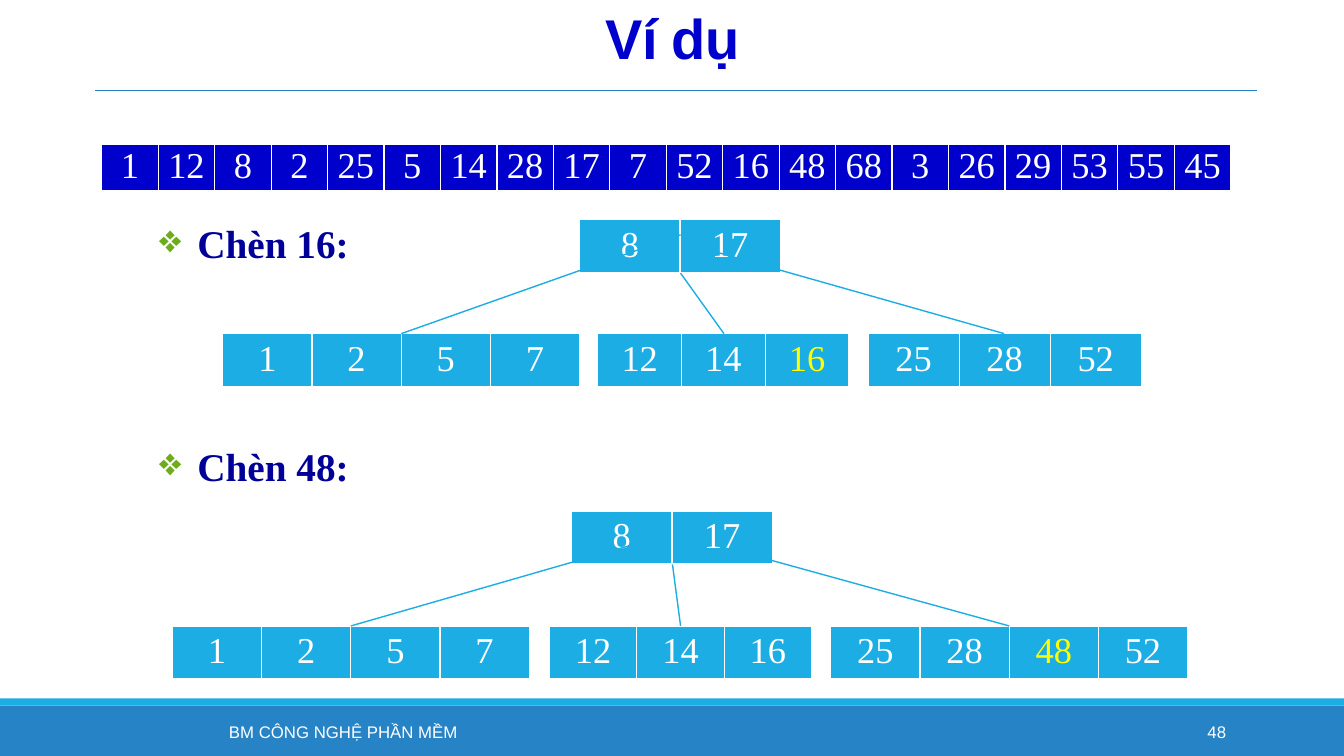
from lxml.etree import SubElement
from pptx import Presentation
from pptx.dml.color import RGBColor
from pptx.enum.shapes import MSO_CONNECTOR, MSO_SHAPE
from pptx.enum.text import MSO_ANCHOR, PP_ALIGN
from pptx.oxml.ns import qn
from pptx.util import Inches, Pt

COLORS = {
    "white": "FFFFFF",
    "sky": "1CADE4",
    "blue": "2683C6",
    "title": "0000CC",
    "heading": "000099",
    "bullet": "6EAC1C",
    "inserted": "FFFF00",
}
SERIF, SANS = "Times New Roman", "Arial"

SEQUENCE = [1, 12, 8, 2, 25, 5, 14, 28, 17, 7, 52, 16, 48, 68, 3, 26, 29, 53, 55, 45]

TREES = [
    {
        "inserted": 16,
        "nodes": [
            ((5.75, 2.18, 1.99), [8, 17]),
            ((2.21, 3.31, 3.54), [1, 2, 5, 7]),
            ((5.93, 3.31, 2.49), [12, 14, 16]),
            ((8.61, 3.31, 2.71), [25, 28, 52]),
        ],
        "edges": [(6.75, 2.33, 3.98, 3.31), (6.75, 2.71, 7.18, 3.31), (6.89, 2.44, 9.96, 3.31)],
    },
    {
        "inserted": 48,
        "nodes": [
            ((5.67, 5.07, 1.99), [8, 17]),
            ((1.71, 6.21, 3.54), [1, 2, 5, 7]),
            ((5.45, 6.21, 2.6), [12, 14, 16]),
            ((8.24, 6.21, 3.54), [25, 28, 48, 52]),
        ],
        "edges": [(6.36, 5.38, 3.48, 6.21), (6.67, 5.6, 6.75, 6.21), (7.4, 5.49, 10.01, 6.21)],
    },
]


def color(name):
    """Return the named colour."""
    return RGBColor.from_string(COLORS[name])


class SlideBuilder:
    """Adds styled elements to the current slide."""

    def __init__(self, slide):
        """Keep the slide to build on."""
        self.slide = slide

    def set_text(self, frame, text, size, font, ink, align, bold=False):
        """Set and format a single paragraph, and return it."""
        frame.text = text
        frame.word_wrap = True
        paragraph = frame.paragraphs[0]
        paragraph.alignment = align
        style = paragraph.runs[0].font
        style.size, style.name, style.bold = Pt(size), font, bold
        style.color.rgb = color(ink)
        return paragraph

    def title(self, text, left, top, width, height):
        """Place and format the title placeholder."""
        shape = self.slide.shapes.title
        shape.left, shape.top = Inches(left), Inches(top)
        shape.width, shape.height = Inches(width), Inches(height)
        shape.text_frame.vertical_anchor = MSO_ANCHOR.MIDDLE
        paragraph = self.set_text(shape.text_frame, text, 40, SANS, "title", PP_ALIGN.CENTER, True)
        paragraph.line_spacing = 0.85
        paragraph.runs[0]._r.get_or_add_rPr().set("spc", "-50")

    def bar(self, left, top, width, height, fill):
        """Add a plain filled rectangle."""
        shape = self.slide.shapes.add_shape(
            MSO_SHAPE.RECTANGLE, Inches(left), Inches(top), Inches(width), Inches(height)
        )
        shape.shadow.inherit = False
        shape.fill.solid()
        shape.fill.fore_color.rgb = color(fill)
        shape.line.fill.background()

    def line(self, x1, y1, x2, y2, ink="sky", weight=1):
        """Add a straight line."""
        connector = self.slide.shapes.add_connector(
            MSO_CONNECTOR.STRAIGHT, Inches(x1), Inches(y1), Inches(x2), Inches(y2)
        )
        connector.line.color.rgb = color(ink)
        connector.line.width = Pt(weight)
        SubElement(connector._element.spPr, qn("a:effectLst"))

    def text_box(self, left, top, width, height):
        """Add an empty text box and return its frame."""
        return self.slide.shapes.add_textbox(
            Inches(left), Inches(top), Inches(width), Inches(height)
        ).text_frame

    def heading(self, text, top, height, line_spacing):
        """Add a heading with a diamond bullet."""
        frame = self.text_box(1.48, top, 10.38, height)
        paragraph = self.set_text(frame, text, 28, SERIF, "heading", PP_ALIGN.JUSTIFY, True)
        paragraph.line_spacing = line_spacing
        paragraph.space_before = Pt(5.6)
        properties = paragraph._p.get_or_add_pPr()
        properties.set("marL", str(Inches(0.38)))
        properties.set("indent", str(Inches(-0.38)))
        bullet_color = SubElement(properties, qn("a:buClr"))
        SubElement(bullet_color, qn("a:srgbClr"), val=COLORS["bullet"])
        SubElement(properties, qn("a:buChar"), char="❖")

    def footer(self, text, left, width, align):
        """Add a footer text."""
        frame = self.text_box(left, 7.06, width, 0.4)
        frame.vertical_anchor = MSO_ANCHOR.MIDDLE
        self.set_text(frame, text, 12, SANS, "white", align)

    def borders(self, cell):
        """Give a cell white borders with a thick bottom edge."""
        properties = cell._tc.get_or_add_tcPr()
        for tag, weight in (("lnL", 1), ("lnR", 1), ("lnT", 1), ("lnB", 3)):
            edge = SubElement(properties, qn(f"a:{tag}"), w=str(Pt(weight)))
            SubElement(SubElement(edge, qn("a:solidFill")), qn("a:srgbClr"), val=COLORS["white"])

    def row(self, values, left, top, width, height=0.53, fill="sky", inserted=None):
        """Add a one-row table of keys and return its cells."""
        table = self.slide.shapes.add_table(
            1, len(values), Inches(left), Inches(top), Inches(width), Inches(height)
        ).table
        table.first_row = table.horz_banding = False
        for index, value in enumerate(values):
            table.columns[index].width = Inches(width / len(values))
            cell = table.cell(0, index)
            self.borders(cell)
            cell.fill.solid()
            cell.fill.fore_color.rgb = color(fill)
            ink = "inserted" if value == inserted else "white"
            self.set_text(cell.text_frame, str(value), 26, SERIF, ink, PP_ALIGN.CENTER)
        return list(table.iter_cells())

    def sequence(self, values, left, top, width, height):
        """Add the compact row of input keys."""
        for cell in self.row(values, left, top, width, height, "title"):
            cell.vertical_anchor = MSO_ANCHOR.MIDDLE
            cell.margin_left = cell.margin_right = Inches(0.06)
            cell.margin_top = cell.margin_bottom = 0
            paragraph = cell.text_frame.paragraphs[0]
            paragraph.line_spacing = 0.9
            paragraph.space_before = Pt(11.5)

    def tree(self, nodes, edges, inserted):
        """Add the nodes of a tree and the lines between them."""
        for place, keys in nodes:
            self.row(keys, *place, inserted=inserted)
        for edge in edges:
            self.line(*edge)


def main():
    """Build and save the presentation."""
    presentation = Presentation()
    presentation.slide_width, presentation.slide_height = Inches(13.33), Inches(7.5)
    builder = SlideBuilder(presentation.slides.add_slide(presentation.slide_layouts[5]))
    builder.bar(0, 7, 13.33, 0.5, "blue")
    builder.bar(0, 6.93, 13.33, 0.07, "sky")
    builder.line(0.94, 0.9, 12.47, 0.9, "blue", 0.5)
    builder.title("Ví dụ", 0.85, 0.04, 11.64, 0.77)
    builder.heading("Chèn 16:", 2.18, 0.53, 0.9)
    builder.heading("Chèn 48:", 4.34, 0.57, 1.0)
    for tree in TREES:
        builder.tree(**tree)
    builder.sequence(SEQUENCE, 1.01, 1.43, 11.2, 0.47)
    builder.footer("BM CÔNG NGHỆ PHẦN MỀM", 1.2, 4.41, PP_ALIGN.CENTER)
    builder.footer("48", 10.83, 1.43, PP_ALIGN.RIGHT)
    presentation.save("out.pptx")


if __name__ == "__main__":
    main()
